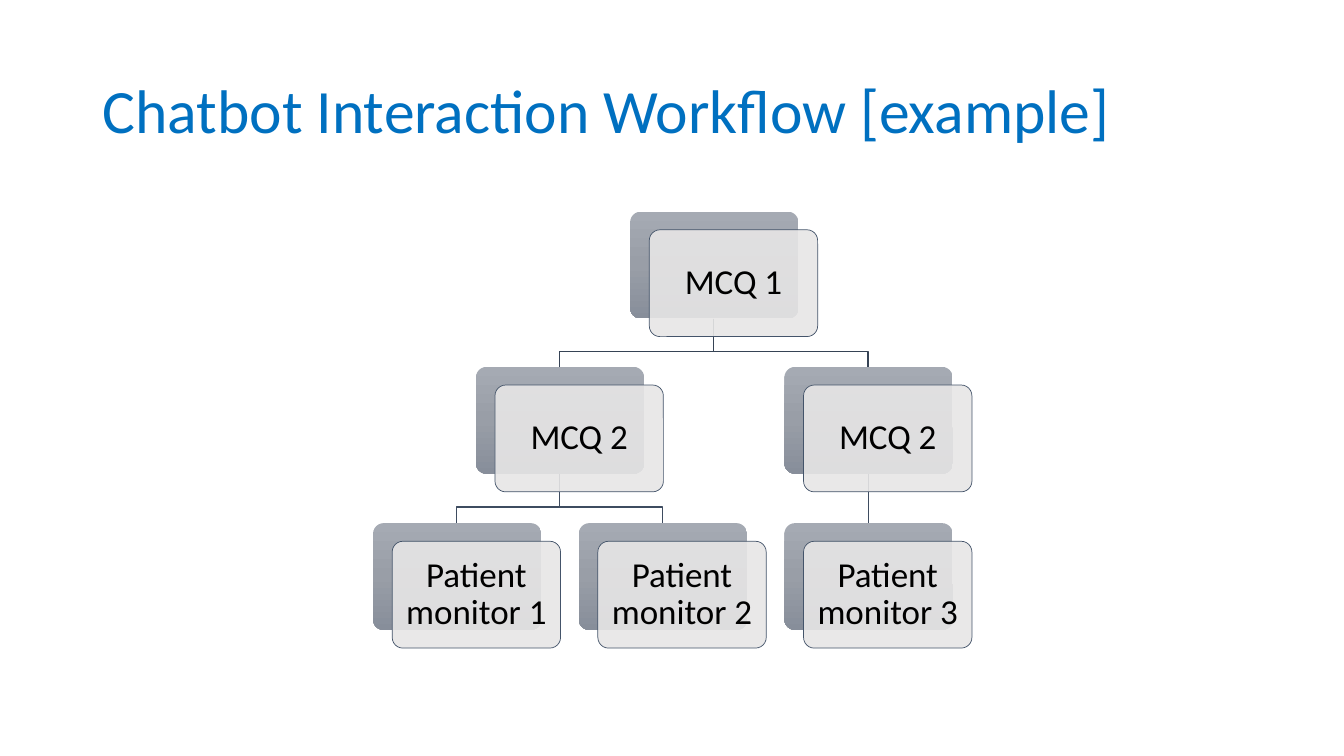
from copy import deepcopy
from dataclasses import dataclass
from typing import Optional

from lxml import etree
from pptx import Presentation
from pptx.dml.color import RGBColor
from pptx.enum.shapes import MSO_CONNECTOR, MSO_SHAPE
from pptx.enum.text import MSO_ANCHOR, PP_ALIGN
from pptx.oxml.ns import qn
from pptx.util import Pt

PX = 9144
FONT = "Calibri"
STRAIGHT = MSO_CONNECTOR.STRAIGHT
ROUNDED = MSO_SHAPE.ROUNDED_RECTANGLE
MIDDLE = MSO_ANCHOR.MIDDLE
CENTER = PP_ALIGN.CENTER
TOP, BOTTOM = 0, 2

COLORS = {
    "title": "0070C0",
    "text": "000000",
    "card": "E7E6E6",
    "border": "44546A",
    "upper_link": "364355",
    "lower_link": "3E4C60",
}
PLATE_GRADIENT = [(0, "A5AAB3"), (0.5, "999EA7"), (1, "878E9A")]

BOX_WIDTH, BOX_HEIGHT = 167, 106
FIRST_LEFT, HALF_COLUMN = 370, 102
ROW_TOPS = [210, 364, 519]
CARD_SHIFT_X, CARD_SHIFT_Y = 19, 18
LINK_BEND = 33


@dataclass(frozen=True)
class Node:
    text: str
    half_columns: float
    row: int
    parent: Optional["Node"] = None

    @property
    def left(self) -> int:
        return round(FIRST_LEFT + HALF_COLUMN * self.half_columns)

    @property
    def top(self) -> int:
        return ROW_TOPS[self.row]

    @property
    def center(self) -> int:
        return self.left + BOX_WIDTH // 2

    @property
    def bottom(self) -> int:
        return self.top + BOX_HEIGHT


ROOT = Node("MCQ 1", 2.5, 0)
LEFT_QUESTION = Node("MCQ 2", 1, 1, ROOT)
RIGHT_QUESTION = Node("MCQ 2", 4, 1, ROOT)
NODES = [
    ROOT,
    LEFT_QUESTION,
    Node("Patient monitor 1", 0, 2, LEFT_QUESTION),
    Node("Patient monitor 2", 2, 2, LEFT_QUESTION),
    RIGHT_QUESTION,
    Node("Patient monitor 3", 4, 2, RIGHT_QUESTION),
]


def rgb(name: str) -> RGBColor:
    return RGBColor.from_string(COLORS[name])


def write_text(shape, text: str, size: int, color: str) -> None:
    frame = shape.text_frame
    frame.word_wrap = True
    frame.vertical_anchor = MIDDLE
    paragraph = frame.paragraphs[0]
    paragraph.text = text
    paragraph.line_spacing = 0.9
    paragraph.font.name = FONT
    paragraph.font.size = Pt(size)
    paragraph.font.color.rgb = rgb(color)


def add_title(slide, text: str) -> None:
    box = slide.shapes.add_textbox(92 * PX, 40 * PX, 1150 * PX, 145 * PX)
    write_text(box, text, 44, "title")


def add_link(slide, parent: Node, child: Node):
    start, end = (parent.center, parent.bottom), (child.center, child.top)
    if parent.center == child.center:
        link = slide.shapes.add_connector(STRAIGHT, *(value * PX for value in start + end))
        etree.SubElement(link._element.spPr, qn("a:effectLst"))
    else:
        bend = parent.bottom + LINK_BEND
        builder = slide.shapes.build_freeform(*start, scale=PX)
        builder.add_line_segments([(parent.center, bend), (child.center, bend), end], close=False)
        link = builder.convert_to_shape()
        link.fill.background()
        link.shadow.inherit = False
    link.line.color.rgb = rgb("upper_link" if parent.row == 0 else "lower_link")
    link.line.width = Pt(1)
    return link


def add_box(slide, left: int, top: int):
    shape = slide.shapes.add_shape(ROUNDED, left * PX, top * PX, BOX_WIDTH * PX, BOX_HEIGHT * PX)
    shape.adjustments[0] = 0.1
    shape.shadow.inherit = False
    return shape


def add_plate(slide, node: Node):
    plate = add_box(slide, node.left, node.top)
    plate.line.fill.background()
    plate.fill.gradient()
    plate.fill.gradient_angle = 270
    stop_list = plate._element.spPr.find(".//" + qn("a:gsLst"))
    stop_list.insert(1, deepcopy(stop_list[0]))
    for stop, (position, color) in zip(plate.fill.gradient_stops, PLATE_GRADIENT):
        stop.position = position
        stop.color.rgb = RGBColor.from_string(color)
    return plate


def add_card(slide, node: Node) -> None:
    card = add_box(slide, node.left + CARD_SHIFT_X, node.top + CARD_SHIFT_Y)
    card.fill.solid()
    card.fill.fore_color.rgb = rgb("card")
    color = card._element.spPr.find(qn("a:solidFill")).find(qn("a:srgbClr"))
    etree.SubElement(color, qn("a:alpha"), val="90000")
    card.line.color.rgb = rgb("border")
    card.line.width = Pt(0.5)
    write_text(card, node.text, 25, "text")
    frame = card.text_frame
    frame.margin_left = frame.margin_right = 9 * PX
    frame.margin_top = frame.margin_bottom = 9 * PX
    frame.paragraphs[0].alignment = CENTER


def main() -> None:
    presentation = Presentation()
    presentation.slide_width = 1333 * PX
    presentation.slide_height = 750 * PX
    slide = presentation.slides.add_slide(presentation.slide_layouts[6])

    links = {node: add_link(slide, node.parent, node) for node in NODES if node.parent}
    plates = {}
    for node in NODES:
        plates[node] = add_plate(slide, node)
        add_card(slide, node)
    for node, link in links.items():
        if node.center == node.parent.center:
            link.begin_connect(plates[node.parent], BOTTOM)
            link.end_connect(plates[node], TOP)
    add_title(slide, "Chatbot Interaction Workflow [example]")
    presentation.save("out.pptx")


if __name__ == "__main__":
    main()
